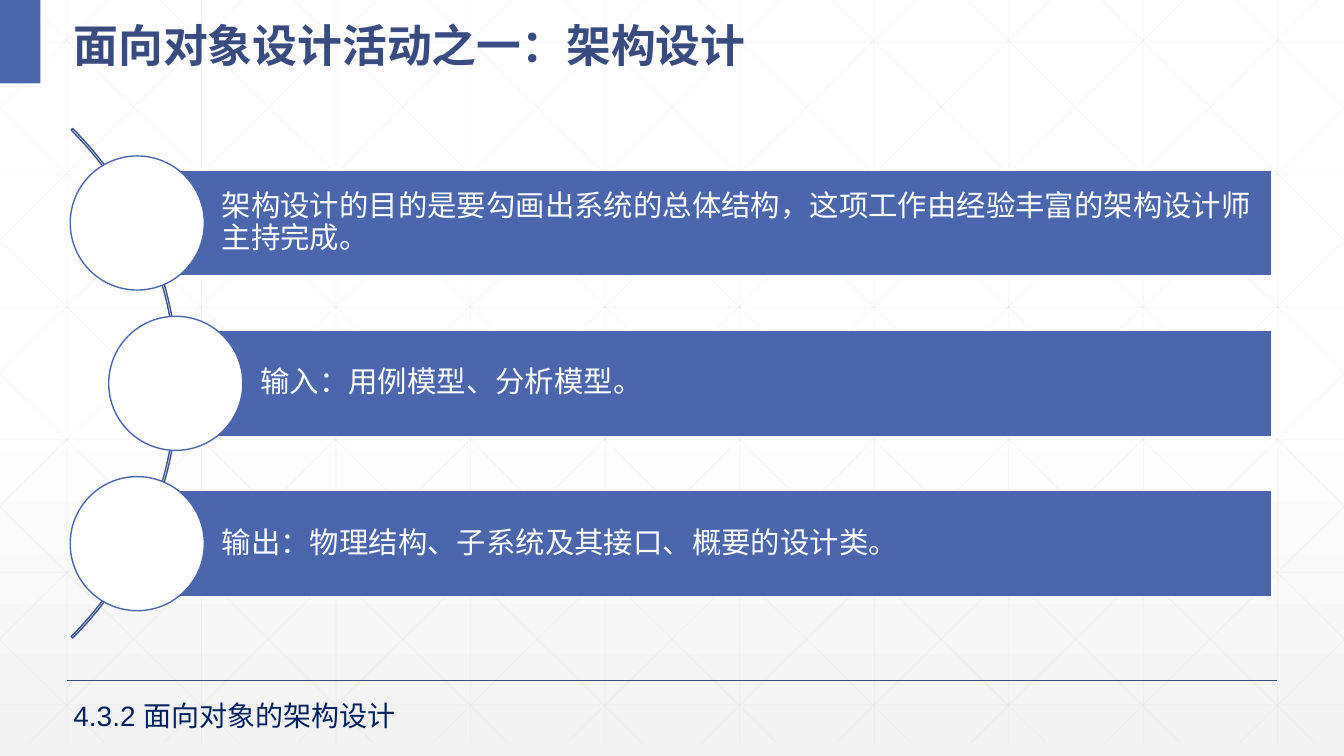
import dataclasses

import pptx
import pptx.dml.color
import pptx.enum.shapes
import pptx.enum.text
import pptx.oxml
import pptx.oxml.ns
import pptx.util

Cm = pptx.util.Cm
Pt = pptx.util.Pt
SHAPE = pptx.enum.shapes.MSO_SHAPE
MIDDLE = pptx.enum.text.MSO_ANCHOR.MIDDLE
TOP = pptx.enum.text.MSO_ANCHOR.TOP


@dataclasses.dataclass(frozen=True)
class Theme:
    accent: str = "4A66AC"
    heading: str = "384C81"
    arc: str = "3B528A"
    footer: str = "002060"
    grid: str = "D9D9D9"
    white: str = "FFFFFF"
    shade: str = "F2F2F2"
    latin: str = "Arial"
    cjk: str = "Noto Sans CJK SC"
    title_size: int = 32
    bar_size: int = 21
    footer_size: int = 20


THEME = Theme()
SLIDE_W, SLIDE_H = 33.87, 19.05

# Timeline geometry in centimetres
MIDLINE = 9.66
STEP = 4.04
BAR_H, BAR_RIGHT = 2.68, 32.04
CIRCLE = 3.38
ARC = 18.16
ARC_LEFT = -13.67
ITEMS = [
    (3.46, "架构设计的目的是要勾画出系统的总体结构，这项工作由经验丰富的架构设计师主持完成。"),
    (4.43, "输入：用例模型、分析模型。"),
    (3.46, "输出：物理结构、子系统及其接口、概要的设计类。"),
]


def rgb(code):
    return pptx.dml.color.RGBColor.from_string(code)


def child(parent, tag, **attributes):
    element = pptx.oxml.ns.qn(tag)
    node = parent.makeelement(element, attributes)
    parent.append(node)
    return node


def write(shape, text, *, size, color, latin=THEME.latin, bold=False,
          spacing=1.0, anchor=TOP, insets=(0.25, 0.13, 0.25, 0.13)):
    frame = shape.text_frame
    frame.word_wrap = True
    frame.auto_size = pptx.enum.text.MSO_AUTO_SIZE.NONE
    frame.vertical_anchor = anchor
    (frame.margin_left, frame.margin_top,
     frame.margin_right, frame.margin_bottom) = map(Cm, insets)
    paragraph = frame.paragraphs[0]
    paragraph.alignment = pptx.enum.text.PP_ALIGN.LEFT
    paragraph.line_spacing = spacing
    run = paragraph.add_run()
    run.text = text
    run.font.name = latin
    run.font.size = Pt(size)
    run.font.bold = bold
    run.font.color.rgb = rgb(color)
    child(run._r.get_or_add_rPr(), "a:ea", typeface=THEME.cjk)


def add_figure(slide, kind, left, top, width, height, fill=None, line=None):
    figure = slide.shapes.add_shape(kind, Cm(left), Cm(top), Cm(width), Cm(height))
    figure.shadow.inherit = False
    if fill:
        figure.fill.solid()
        figure.fill.fore_color.rgb = rgb(fill)
    else:
        figure.fill.background()
    if line:
        figure.line.color.rgb = rgb(line)
        figure.line.width = Pt(1)
    else:
        figure.line.fill.background()
    return figure


def add_line(slide, x1, y1, x2, y2, color, width, opacity=None):
    line = slide.shapes.add_connector(
        pptx.enum.shapes.MSO_CONNECTOR.STRAIGHT, Cm(x1), Cm(y1), Cm(x2), Cm(y2))
    line.line.color.rgb = rgb(color)
    line.line.width = Pt(width)
    if opacity:
        solid = line.line._ln.find(pptx.oxml.ns.qn("a:solidFill"))
        child(solid[0], "a:alpha", val=str(opacity * 1000))
    child(line._element.spPr, "a:effectLst")


def add_background(slide):
    fill = slide.background.fill
    fill.gradient()
    fill.gradient_angle = 270
    for stop, position, color in zip(
            fill.gradient_stops, (0.53, 1), (THEME.white, THEME.shade)):
        stop.position = position
        stop.color.rgb = rgb(color)


def add_grid(slide):
    bottom, pitch, row_pitch, diagonal_run = 18.72, 3.39, 3.34, 18.94
    slope = bottom / diagonal_run
    columns = [1.69 + pitch * i for i in range(10)]
    rows = [1.06 + row_pitch * i for i in range(6)]
    segments = [(x, 0, x, bottom) for x in columns]
    segments += [(0, y, SLIDE_W, y) for y in rows]
    # Diagonals are clipped to the slide and mirrored left to right
    for i in range(-5, 10):
        origin = 0.64 + pitch * i
        start, end = max(0, origin), min(SLIDE_W, origin + diagonal_run)
        y1, y2 = (start - origin) * slope, (end - origin) * slope
        segments += [(start, y1, end, y2), (SLIDE_W - start, y1, SLIDE_W - end, y2)]
    for segment in segments:
        add_line(slide, *segment, THEME.grid, 0.5, opacity=25)


def add_heading(slide, text):
    add_figure(slide, SHAPE.RECTANGLE, 0, 0, 1.02, 2.1, fill=THEME.accent)
    heading = slide.shapes.title
    heading.left, heading.top = Cm(1.6), Cm(0)
    heading.width, heading.height = Cm(21.51), Cm(1.85)
    write(heading, text, size=THEME.title_size, color=THEME.heading,
          latin=THEME.cjk, bold=True, spacing=1.3, anchor=MIDDLE)
    slide.shapes._spTree.append(heading._element)  # above the grid


def add_arc(slide):
    arc = add_figure(slide, SHAPE.BLOCK_ARC, ARC_LEFT, MIDLINE - ARC / 2,
                     ARC, ARC, line=THEME.arc)
    for i, value in enumerate((189, 27, 0.003)):
        arc.adjustments[i] = value


def add_item(slide, left, center, text):
    bar = add_figure(slide, SHAPE.RECTANGLE, left, center - BAR_H / 2,
                     BAR_RIGHT - left, BAR_H, fill=THEME.accent, line=THEME.white)
    write(bar, text, size=THEME.bar_size, color=THEME.white, spacing=0.9,
          anchor=MIDDLE, insets=(2.13, 0.15, 0.15, 0.15))
    add_figure(slide, SHAPE.OVAL, left - CIRCLE / 2, center - CIRCLE / 2,
               CIRCLE, CIRCLE, fill=THEME.white, line=THEME.accent)


def add_footer(slide, text):
    add_line(slide, 1.69, 17.15, 32.18, 17.15, THEME.heading, 1)
    section = slide.shapes.add_textbox(Cm(1.6), Cm(17.48), Cm(11.91), Cm(1.11))
    write(section, text, size=THEME.footer_size, color=THEME.footer)


def main():
    deck = pptx.Presentation()
    deck.slide_width, deck.slide_height = Cm(SLIDE_W), Cm(SLIDE_H)
    slide = deck.slides.add_slide(deck.slide_layouts.get_by_name("Title Only"))

    # Backdrop and heading
    add_background(slide)
    add_grid(slide)
    add_heading(slide, "面向对象设计活动之一：架构设计")

    # Timeline
    add_arc(slide)
    for i, (left, text) in enumerate(ITEMS):
        add_item(slide, left, MIDLINE + (i - 1) * STEP, text)

    # Section reference
    add_footer(slide, "4.3.2 面向对象的架构设计")
    deck.save("out.pptx")


if __name__ == "__main__":
    main()
